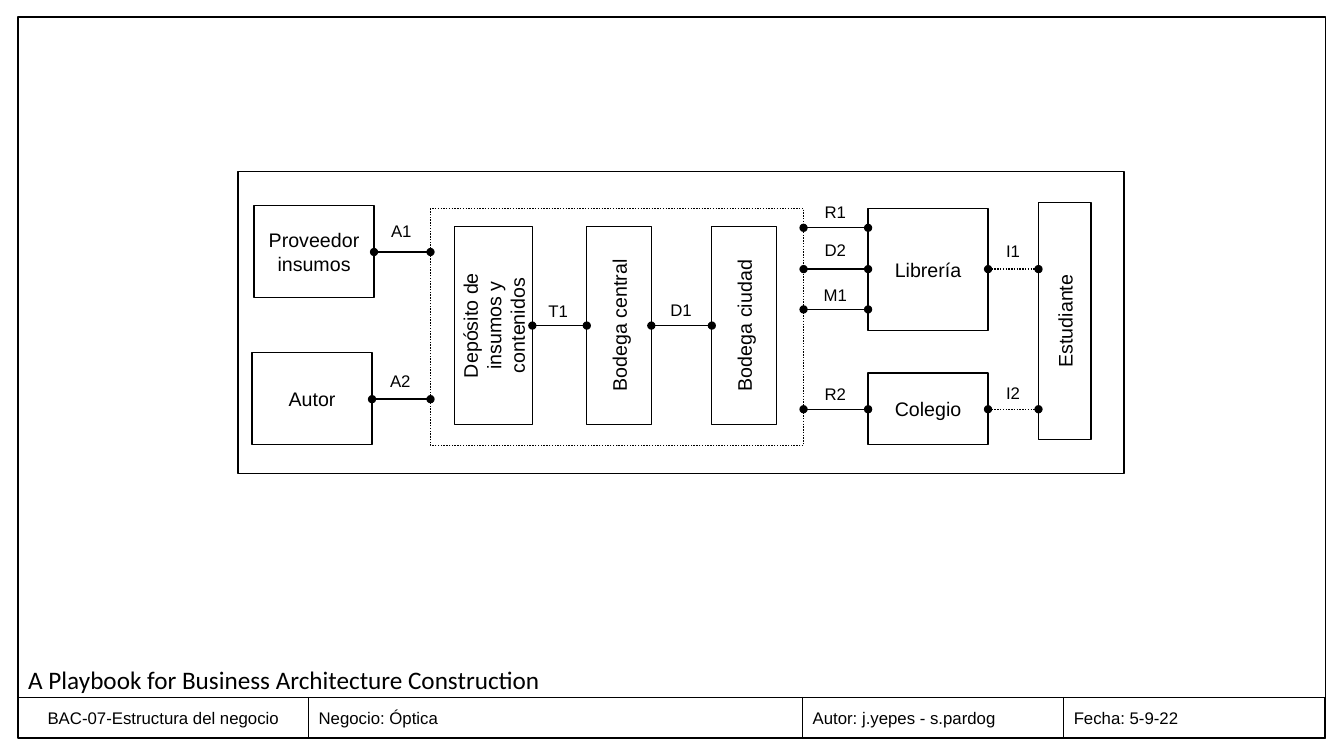
"""Builds the business structure diagram slide with its title block."""
from lxml.etree import SubElement
from pptx import Presentation
from pptx.dml.color import RGBColor
from pptx.enum.dml import MSO_LINE
from pptx.enum.shapes import MSO_CONNECTOR, MSO_SHAPE
from pptx.enum.text import MSO_ANCHOR, PP_ALIGN
from pptx.oxml.ns import qn
from pptx.util import Inches, Pt

BLACK = RGBColor(0, 0, 0)
WHITE = RGBColor(255, 255, 255)
MARGIN, SHEET_TOP, SHEET_WIDTH, SHEET_HEIGHT = 0.18, 0.17, 12.97, 7.15
FOOTER_TOP, FOOTER_HEIGHT = 6.92, 0.41
TITLE = "A Playbook for Business Architecture Construction"
FOOTER = [
    ("BAC-07-Estructura del negocio", 2.88),
    ("Negocio: Óptica", 4.9),
    ("Autor: j.yepes - s.pardog", 2.59),
    ("Fecha: 5-9-22", 2.59),
]

FRAMES = [
    (MARGIN, SHEET_TOP, SHEET_WIDTH, SHEET_HEIGHT),
    (2.36, 1.7, 8.79, 3),
]
COMPANY = (4.27, 2.07, 3.7, 2.35)
BOXES = {
    "Proveedor insumos": (2.52, 2.04, 1.19, 0.91),
    "Autor": (2.5, 3.5, 1.19, 0.91),
    "Librería": (8.61, 2.07, 1.19, 1.21),
    "Colegio": (8.61, 3.7, 1.19, 0.71),
}
UPRIGHT_BOXES = {
    "Depósito de insumos y contenidos": (4.51, 2.25, 0.77, 1.96),
    "Bodega central": (5.82, 2.25, 0.64, 1.96),
    "Bodega ciudad": (7.06, 2.25, 0.64, 1.96),
    "Estudiante": (10.3, 2.01, 0.52, 2.35),
}
PLACES = {"Empresa": COMPANY, **BOXES, **UPRIGHT_BOXES}
LINKS = [
    ("A1", "Proveedor insumos", "Empresa", 2.5, 2.14),
    ("A2", "Autor", "Empresa", 3.96, 3.63),
    ("T1", "Depósito de insumos y contenidos", "Bodega central", 3.23, 2.93),
    ("D1", "Bodega central", "Bodega ciudad", 3.23, 2.92),
    ("R1", "Empresa", "Librería", 2.26, 1.95),
    ("D2", "Empresa", "Librería", 2.67, 2.33),
    ("M1", "Empresa", "Librería", 3.07, 2.78),
    ("R2", "Empresa", "Colegio", 4.06, 3.76),
    ("I1", "Librería", "Estudiante", 2.67, 2.34),
    ("I2", "Colegio", "Estudiante", 4.06, 3.75),
]
LABEL_WIDTHS = {"I": 0.34, "M": 0.44}


def write(frame, text, size, font="Arial", align=PP_ALIGN.LEFT):
    frame.text = text
    para = frame.paragraphs[0]
    para.alignment = align
    for span in para.runs:
        span.font.size = Pt(size)
        span.font.name = font
        span.font.color.rgb = BLACK


def style_line(line, dotted=False):
    line.color.rgb = BLACK
    line.width = Pt(1)
    if dotted:
        line.dash_style = MSO_LINE.ROUND_DOT


def add_box(slide, place, text="", filled=True, dotted=False, upright=False):
    box = slide.shapes.add_shape(MSO_SHAPE.RECTANGLE, *map(Inches, place))
    box.shadow.inherit = False
    style_line(box.line, dotted)
    if filled:
        box.fill.solid()
        box.fill.fore_color.rgb = WHITE
    else:
        box.fill.background()
    if text:
        frame = box.text_frame
        write(frame, text, 14, align=PP_ALIGN.CENTER)
        frame.word_wrap = True
        frame.vertical_anchor = MSO_ANCHOR.MIDDLE
        if upright:
            frame._txBody.bodyPr.set("vert", "vert270")
        else:
            frame.margin_left = frame.margin_right = Inches(0.04)


def add_link(slide, label, source, target, height, label_top):
    left, _, width, _ = PLACES[source]
    start, end = left + width, PLACES[target][0]
    link = slide.shapes.add_connector(
        MSO_CONNECTOR.STRAIGHT, *map(Inches, (start, height, end, height)))
    style_line(link.line, dotted=target == "Estudiante")
    outline = link.line._get_or_add_ln()
    for tag in ("a:headEnd", "a:tailEnd"):
        SubElement(outline, qn(tag), type="oval")
    SubElement(link._element.spPr, qn("a:effectLst"))

    label_width = LABEL_WIDTHS.get(label[0], 0.42)
    label_left = (start + end - label_width) / 2
    box = slide.shapes.add_textbox(
        *map(Inches, (label_left, label_top, label_width, 0.3)))
    write(box.text_frame, label, 12)
    box.text_frame.word_wrap = False


def add_footer(slide):
    table = slide.shapes.add_table(1, len(FOOTER), *map(Inches, (
        MARGIN, FOOTER_TOP, SHEET_WIDTH, FOOTER_HEIGHT))).table
    table.first_row = table.horz_banding = False
    for index, (text, width) in enumerate(FOOTER):
        table.columns[index].width = Inches(width)
        cell = table.cell(0, index)
        write(cell.text_frame, text, 12,
              align=PP_ALIGN.LEFT if index else PP_ALIGN.CENTER)
        cell.vertical_anchor = MSO_ANCHOR.MIDDLE
        properties = cell._tc.get_or_add_tcPr()
        for side in ("a:lnL", "a:lnR", "a:lnT", "a:lnB"):
            border = SubElement(properties, qn(side), w=str(Pt(1)))
            fill = SubElement(border, qn("a:solidFill"))
            SubElement(fill, qn("a:srgbClr"), val=str(BLACK))
        cell.fill.background()


def add_title(slide):
    title = slide.shapes.title
    title.left, title.top, title.width, title.height = map(
        Inches, (MARGIN, 6.54, 6.66, 0.4))
    write(title.text_frame, TITLE, 18, "Calibri")
    title.text_frame.vertical_anchor = MSO_ANCHOR.TOP
    title.text_frame.word_wrap = True


deck = Presentation()
deck.slide_width, deck.slide_height = Inches(13.33), Inches(7.5)
page = deck.slides.add_slide(deck.slide_layouts[5])
add_title(page)
for place in FRAMES:
    add_box(page, place, filled=False)
add_footer(page)
add_box(page, COMPANY, dotted=True)
for text, place in BOXES.items():
    add_box(page, place, text)
for text, place in UPRIGHT_BOXES.items():
    add_box(page, place, text, upright=True)
for link in LINKS:
    add_link(page, *link)
deck.save("out.pptx")
